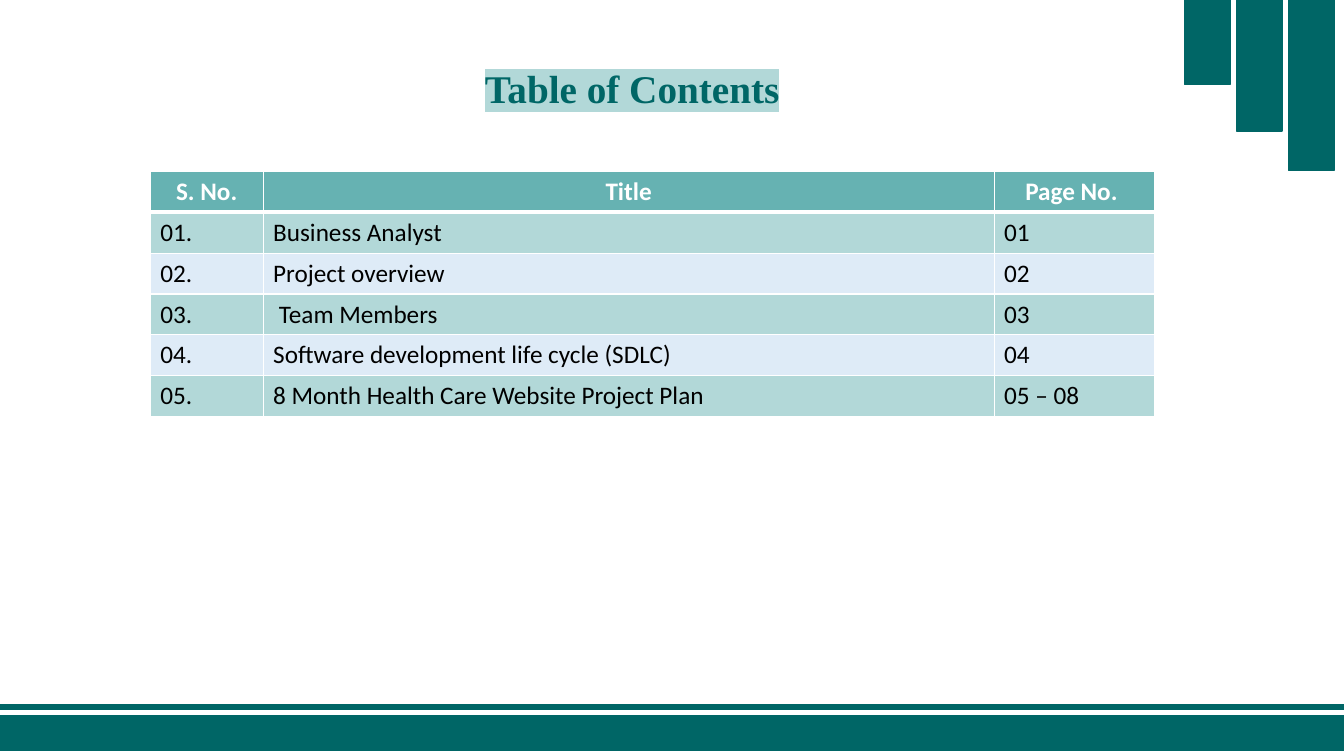
from lxml import etree
from pptx import Presentation
from pptx.dml.color import RGBColor
from pptx.enum.shapes import MSO_SHAPE
from pptx.enum.text import MSO_ANCHOR, PP_ALIGN
from pptx.oxml.ns import qn
from pptx.util import Inches, Pt

RECTANGLE = MSO_SHAPE.RECTANGLE
CENTER, LEFT = PP_ALIGN.CENTER, PP_ALIGN.LEFT
TOP = MSO_ANCHOR.TOP

DARK_TEAL = RGBColor(0x00, 0x66, 0x66)
MID_TEAL = RGBColor(0x66, 0xB2, 0xB2)
LIGHT_TEAL = RGBColor(0xB2, 0xD8, 0xD8)
PALE_BLUE = RGBColor(0xDE, 0xEB, 0xF7)
WHITE = RGBColor(0xFF, 0xFF, 0xFF)
BLACK = RGBColor(0x00, 0x00, 0x00)

TITLE = "Table of Contents"
CONTENTS = [
    ("S. No.", "Title", "Page No. "),
    ("01.", "Business Analyst", "01"),
    ("02.", "Project overview", "02"),
    ("03.", " Team Members", "03"),
    ("04.", "Software development life cycle (SDLC)", "04"),
    ("05.", "8 Month Health Care Website Project Plan", "05 – 08"),
]
COLUMN_WIDTHS = [1.12, 7.25, 1.59]
ROW_HEIGHT = 0.405
CORNER_BAR_HEIGHTS = [0.84, 1.3, 1.69]
CORNER_LEFT, CORNER_STEP, CORNER_WIDTH = 11.75, 0.515, 0.45
FOOTER_BANDS = [(6.99, 0.05), (7.1, 0.34)]
SLIDE_WIDTH, SLIDE_HEIGHT = 13.33, 7.5


def add_bar(slide, left, top, width, height):
    bar = slide.shapes.add_shape(
        RECTANGLE, Inches(left), Inches(top), Inches(width), Inches(height))
    bar.shadow.inherit = False
    bar.fill.solid()
    bar.fill.fore_color.rgb = DARK_TEAL
    bar.line.color.rgb = DARK_TEAL
    bar.line.width = Pt(1)


def add_text(paragraph, text, font_name, size, color, bold):
    run = paragraph.add_run()
    run.text = text
    run.font.name = font_name
    run.font.size = Pt(size)
    run.font.bold = bold
    run.font.color.rgb = color
    return run


def add_color(parent, tag, color):
    holder = etree.SubElement(parent, qn(tag))
    etree.SubElement(holder, qn("a:srgbClr")).set("val", str(color))
    return holder


def highlight(run, color):
    properties = run.font._element
    mark = add_color(properties, "a:highlight", color)
    properties.find(qn("a:solidFill")).addnext(mark)


def set_borders(cell, widths):
    properties = cell._tc.get_or_add_tcPr()
    for position, (side, width) in enumerate(widths.items()):
        border = etree.Element(qn(f"a:ln{side}"), w=str(Pt(width)))
        add_color(border, "a:solidFill", WHITE)
        properties.insert(position, border)


def add_title(slide):
    title = slide.shapes.title
    title.left, title.top = Inches(3.21), Inches(0.59)
    title.width, title.height = Inches(6.12), Inches(0.57)
    frame = title.text_frame
    frame.word_wrap = True
    frame.vertical_anchor = TOP
    paragraph = frame.paragraphs[0]
    paragraph.alignment = CENTER
    paragraph.line_spacing = 1.0
    run = add_text(paragraph, TITLE, "Times New Roman", 28, DARK_TEAL, True)
    highlight(run, LIGHT_TEAL)


def add_contents(slide):
    table = slide.shapes.add_table(
        len(CONTENTS), len(COLUMN_WIDTHS), Inches(1.49), Inches(1.7),
        Inches(sum(COLUMN_WIDTHS)), Inches(ROW_HEIGHT * len(CONTENTS))).table
    for column, width in zip(table.columns, COLUMN_WIDTHS):
        column.width = Inches(width)
    for row, entries in enumerate(CONTENTS):
        header = row == 0
        stripe = LIGHT_TEAL if row % 2 else PALE_BLUE
        for column, text in enumerate(entries):
            cell = table.cell(row, column)
            cell.fill.solid()
            cell.fill.fore_color.rgb = MID_TEAL if header else stripe
            set_borders(cell, {"L": 1, "R": 1, "T": 3 if row == 1 else 1,
                               "B": 3 if header else 1})
            paragraph = cell.text_frame.paragraphs[0]
            paragraph.alignment = CENTER if header else LEFT
            add_text(paragraph, text, "Calibri", 18,
                     WHITE if header else BLACK, header)


def main():
    presentation = Presentation()
    presentation.slide_width = Inches(SLIDE_WIDTH)
    presentation.slide_height = Inches(SLIDE_HEIGHT)
    slide = presentation.slides.add_slide(presentation.slide_layouts[5])
    for index, height in enumerate(CORNER_BAR_HEIGHTS):
        add_bar(slide, CORNER_LEFT + index * CORNER_STEP, 0, CORNER_WIDTH, height)
    for top, height in FOOTER_BANDS:
        add_bar(slide, 0, top, SLIDE_WIDTH, height)
    add_contents(slide)
    add_title(slide)
    presentation.save("out.pptx")


if __name__ == "__main__":
    main()
